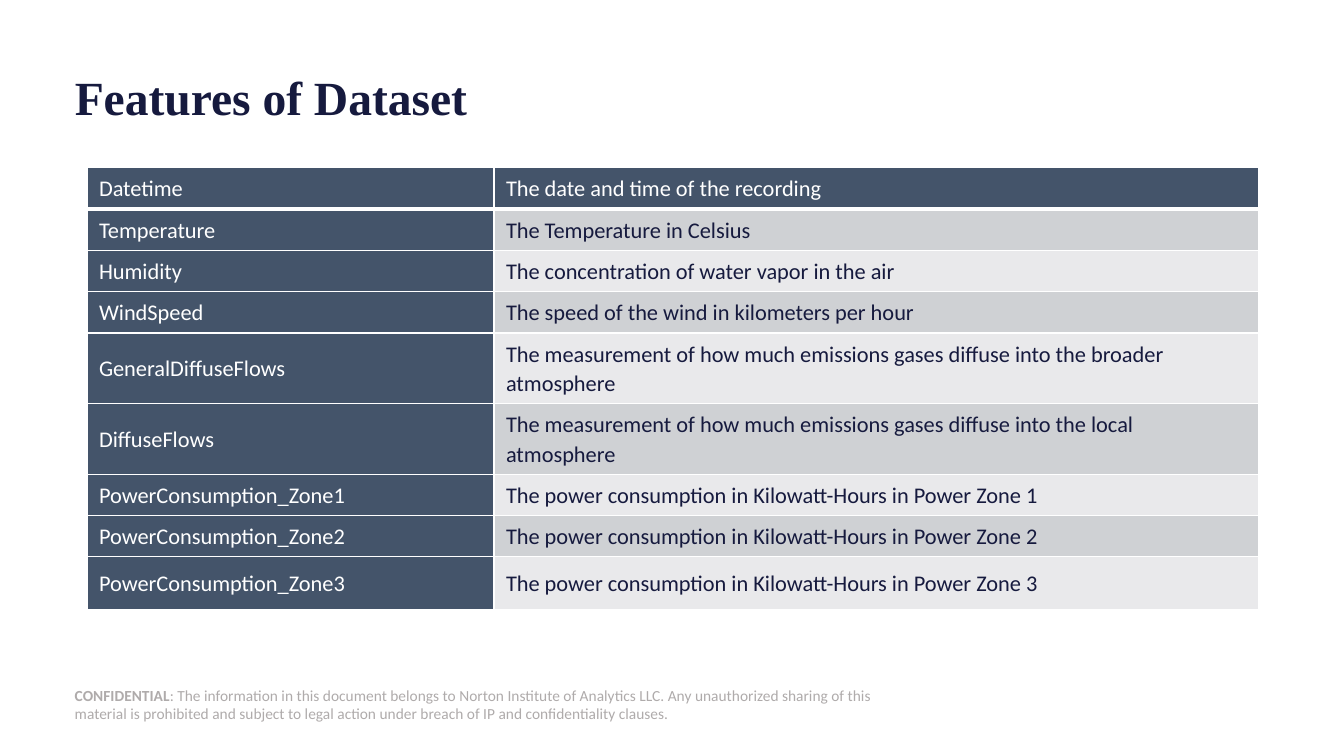
"""Build the slide that lists the features of the power consumption dataset."""
import dataclasses
import typing

import lxml.etree
import pptx
import pptx.dml.color
import pptx.enum.shapes
import pptx.enum.text
import pptx.oxml.ns
import pptx.slide
import pptx.table
import pptx.util

Pt = pptx.util.Pt
MIDDLE = pptx.enum.text.MSO_ANCHOR.MIDDLE
LEFT = pptx.enum.text.PP_ALIGN.LEFT
COLOURS = {
    "white": "FFFFFF",
    "navy": "161A3E",
    "slate": "44546A",
    "dark band": "CFD1D4",
    "light band": "E9E9EB",
    "footer": "AFABAB",
}
FRAME_FORMAT = {
    "margin_left": 0,
    "margin_top": 0,
    "margin_right": 0,
    "margin_bottom": 0,
    "word_wrap": True,
    "vertical_anchor": MIDDLE,
}
CELL_FORMAT = {
    "margin_left": Pt(8.57),
    "margin_top": Pt(4.29),
    "margin_right": Pt(8.57),
    "margin_bottom": Pt(4.29),
    "vertical_anchor": MIDDLE,
}
CELL_PARAGRAPH = {"alignment": LEFT, "line_spacing": 1.07, "space_after": Pt(8)}
CELL_FONT = {"name": "Calibri", "size": Pt(16), "bold": False}
TABLE_LEFT, TABLE_TOP = 62.2, 119.8
COLUMN_WIDTHS = (290.7, 545.8)
THIN_LINE, HEADER_LINE = 1, 3


@dataclasses.dataclass(frozen=True)
class Feature:
    """One table row: a feature, its meaning and the row height."""

    name: str
    meaning: str
    height: float = 29.2


@dataclasses.dataclass(frozen=True)
class TextBlock:
    """A free block of text, its place and its format."""

    left: float
    top: float
    width: float
    height: float
    spans: tuple[tuple[str, bool], ...]
    colour: str
    font: dict[str, typing.Any]
    line_spacing: float = 1.0


FEATURES = (
    Feature("Datetime", "The date and time of the recording"),
    Feature("Temperature", "The Temperature in Celsius"),
    Feature("Humidity", "The concentration of water vapor in the air"),
    Feature("WindSpeed", "The speed of the wind in kilometers per hour"),
    Feature(
        "GeneralDiffuseFlows",
        "The measurement of how much emissions gases diffuse into the broader atmosphere",
        50,
    ),
    Feature(
        "DiffuseFlows",
        "The measurement of how much emissions gases diffuse into the local atmosphere",
        50,
    ),
    Feature("PowerConsumption_Zone1", "The power consumption in Kilowatt-Hours in Power Zone 1"),
    Feature("PowerConsumption_Zone2", "The power consumption in Kilowatt-Hours in Power Zone 2"),
    Feature("PowerConsumption_Zone3", "The power consumption in Kilowatt-Hours in Power Zone 3", 37.8),
)
FOOTER = TextBlock(
    53.4, 488.9, 588.2, 28.8,
    (
        ("CONFIDENTIAL", True),
        (
            ": The information in this document belongs to Norton Institute of Analytics LLC. "
            "Any unauthorized sharing of this material is prohibited and subject to legal action "
            "under breach of IP and confidentiality clauses.",
            False,
        ),
    ),
    "footer",
    {"name": "Calibri", "size": Pt(11)},
)
TITLE = TextBlock(
    53.4, 47.5, 853.2, 48.2,
    (("Features of Dataset", True),),
    "navy",
    {"name": "Times New Roman", "size": Pt(34)},
    0.9,
)


def colour_of(name: str) -> pptx.dml.color.RGBColor:
    """Return a named colour."""
    return pptx.dml.color.RGBColor.from_string(COLOURS[name])


def apply_format(target: typing.Any, values: dict[str, typing.Any]) -> None:
    """Set each format value on the target."""
    for name, value in values.items():
        setattr(target, name, value)


def add_text_block(slide: pptx.slide.Slide, block: TextBlock) -> None:
    """Draw a block of text on a white rectangle."""
    box = slide.shapes.add_shape(
        pptx.enum.shapes.MSO_SHAPE.RECTANGLE,
        Pt(block.left), Pt(block.top), Pt(block.width), Pt(block.height),
    )
    box.shadow.inherit = False
    box.fill.solid()
    box.fill.fore_color.rgb = colour_of("white")
    box.line.fill.background()
    apply_format(box.text_frame, FRAME_FORMAT)
    para = box.text_frame.paragraphs[0]
    apply_format(para, {"alignment": LEFT, "line_spacing": block.line_spacing})
    for text, bold in block.spans:
        span = para.add_run()
        span.text = text
        apply_format(span.font, {**block.font, "bold": bold})
        span.font.color.rgb = colour_of(block.colour)


def add_borders(cell: pptx.table._Cell, row_index: int) -> None:
    """Give a cell white borders, with a thick one below the header."""
    widths = {
        "lnL": THIN_LINE,
        "lnR": THIN_LINE,
        "lnT": HEADER_LINE if row_index == 1 else THIN_LINE,
        "lnB": HEADER_LINE if row_index == 0 else THIN_LINE,
    }
    properties = cell._tc.get_or_add_tcPr()
    qualified = pptx.oxml.ns.qn
    for side, width in widths.items():
        line = lxml.etree.SubElement(properties, qualified(f"a:{side}"), w=str(Pt(width)))
        fill = lxml.etree.SubElement(line, qualified("a:solidFill"))
        lxml.etree.SubElement(fill, qualified("a:srgbClr"), val=COLOURS["white"])


def fill_cell(cell: pptx.table._Cell, text: str, row_index: int, is_name: bool) -> None:
    """Write and format one table cell."""
    is_dark = is_name or row_index == 0
    band = "dark band" if row_index % 2 else "light band"
    add_borders(cell, row_index)
    cell.fill.solid()
    cell.fill.fore_color.rgb = colour_of("slate" if is_dark else band)
    apply_format(cell, CELL_FORMAT)
    para = cell.text_frame.paragraphs[0]
    apply_format(para, CELL_PARAGRAPH)
    span = para.add_run()
    span.text = text
    apply_format(span.font, CELL_FONT)
    span.font.color.rgb = colour_of("white" if is_dark else "navy")


def add_feature_table(slide: pptx.slide.Slide, features: tuple[Feature, ...]) -> None:
    """Draw the table of features."""
    table = slide.shapes.add_table(
        len(features), len(COLUMN_WIDTHS), Pt(TABLE_LEFT), Pt(TABLE_TOP),
        Pt(sum(COLUMN_WIDTHS)), Pt(sum(feature.height for feature in features)),
    ).table
    for column, width in zip(table.columns, COLUMN_WIDTHS):
        column.width = Pt(width)
    for row_index, feature in enumerate(features):
        table.rows[row_index].height = Pt(feature.height)
        fill_cell(table.cell(row_index, 0), feature.name, row_index, True)
        fill_cell(table.cell(row_index, 1), feature.meaning, row_index, False)


def main() -> None:
    """Build and save the deck."""
    deck = pptx.Presentation()
    apply_format(deck, {"slide_width": Pt(960), "slide_height": Pt(540)})
    page = deck.slides.add_slide(deck.slide_layouts[6])
    for block in (FOOTER, TITLE):
        add_text_block(page, block)
    add_feature_table(page, FEATURES)
    deck.save("out.pptx")


if __name__ == "__main__":
    main()
